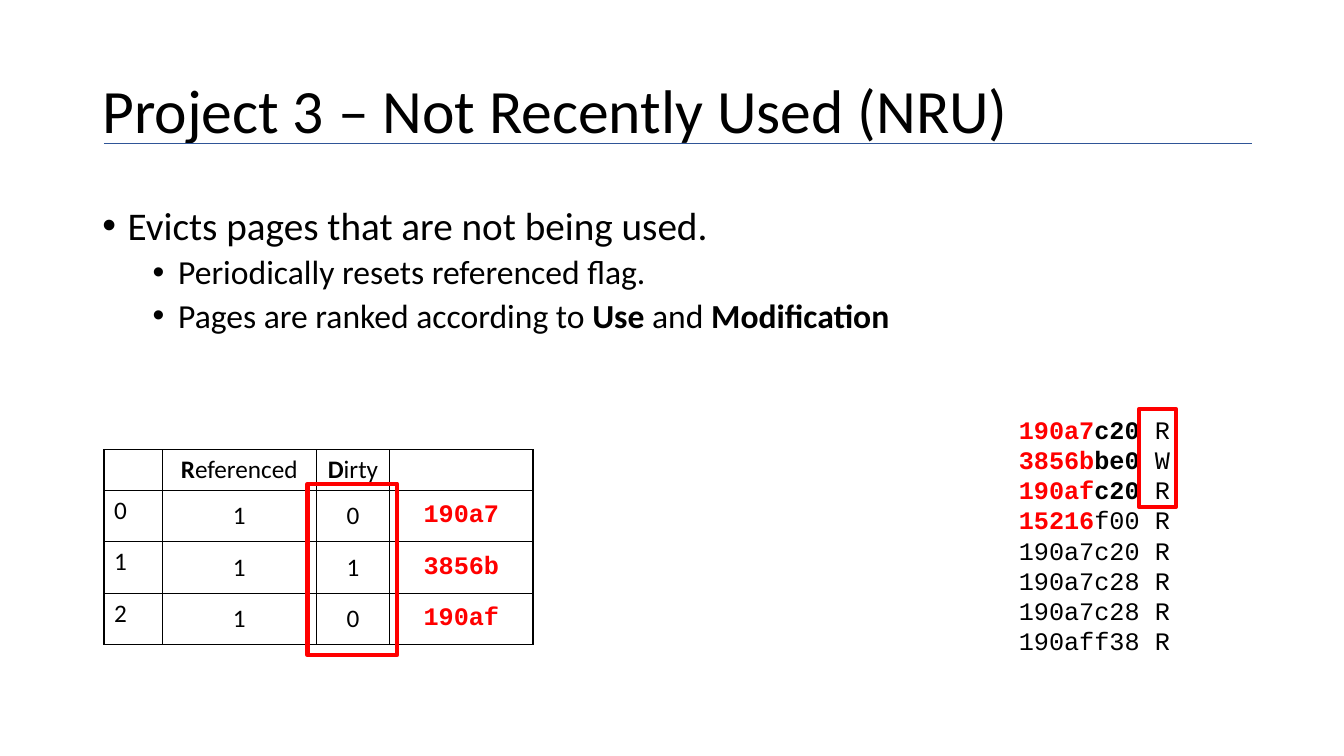
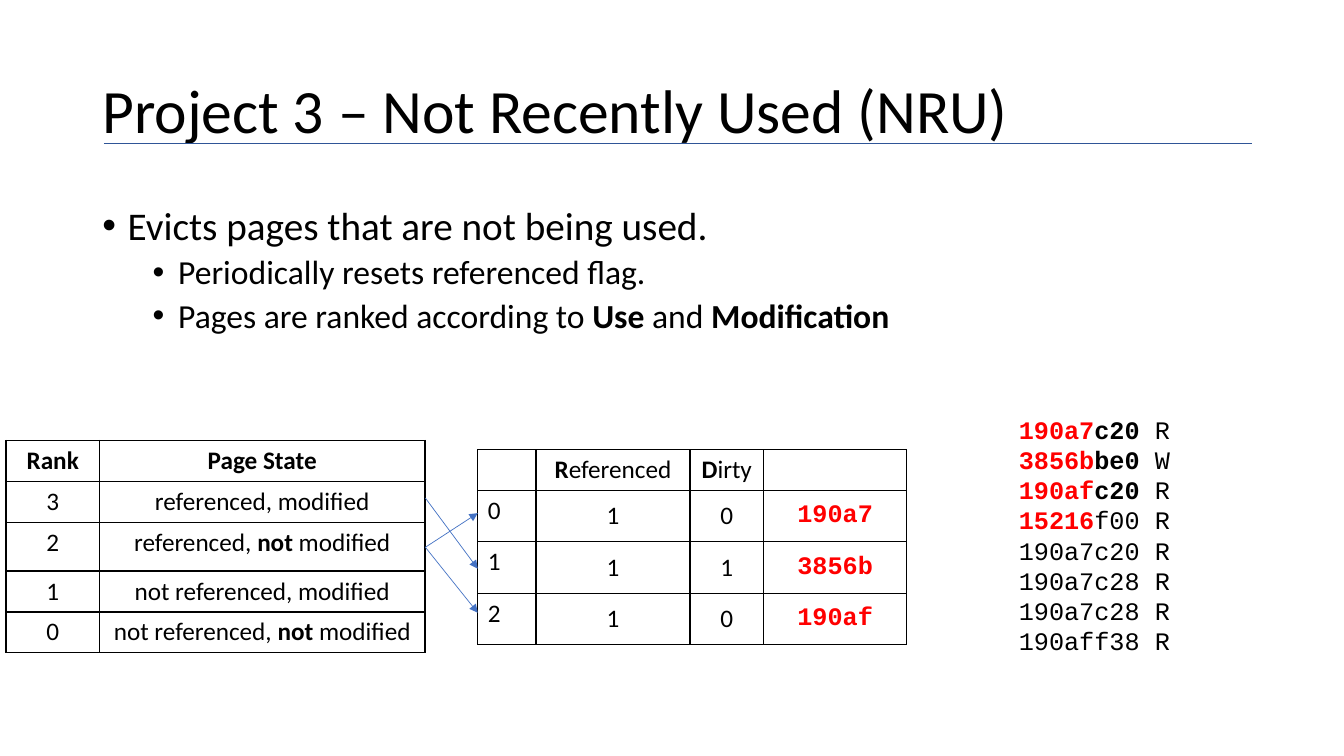
from lxml.etree import SubElement
from pptx import Presentation
from pptx.dml.color import RGBColor
from pptx.enum.shapes import MSO_CONNECTOR as Connector, MSO_SHAPE as Shape
from pptx.enum.text import MSO_ANCHOR as Anchor, PP_ALIGN as Align
from pptx.oxml.ns import qn
from pptx.util import Cm, Pt

BLACK, RED, NAVY, BLUE = "000000", "FF0000", "2F5597", "4472C4"
SANS, MONO = "Calibri", "Courier New"
STRONG = {"bold": True}
PAGE = {"bold": True, "color": RED, "face": MONO}

TITLE = "Project 3 – Not Recently Used (NRU)"
POINTS = [
    (0, "Evicts pages that are not being used."),
    (1, "Periodically resets referenced flag."),
    (1, ["Pages are ranked according to ", ("Use", STRONG), " and ", ("Modification", STRONG)]),
]
TRACE = [
    [("190a7", PAGE), ("c20 ", STRONG), "R"],
    [("3856b", PAGE), ("be0", STRONG), " W"],
    [("190af", PAGE), ("c20", STRONG), " R"],
    [("15216", PAGE), "f00 R"],
    "190a7c20 R",
    "190a7c28 R",
    "190a7c28 R",
    "190aff38 R",
]
FRAMES = [["", [("R", STRONG), "eferenced"], [("D", STRONG), "irty"], ""]] + [
    [str(index), "1", dirty, [(page, PAGE)]]
    for index, (dirty, page) in enumerate([("0", "190a7"), ("1", "3856b"), ("0", "190af")])
]
RANKS = [
    [[("Rank", STRONG)], [("Page State", STRONG)]],
    ["3", "referenced, modified"],
    ["2", ["referenced, ", ("not", STRONG), " modified"]],
    ["1", "not referenced, modified"],
    ["0", ["not referenced, ", ("not", STRONG), " modified"]],
]


def rgb(value):
    return RGBColor.from_string(value)


class Deck:
    def __init__(self):
        self.deck = Presentation()
        self.deck.slide_width, self.deck.slide_height = Cm(33.87), Cm(19.05)

    def start_slide(self):
        self.slide = self.deck.slides.add_slide(self.deck.slide_layouts[6])

    def set_text(self, paragraph, content, size=18, face=SANS, align=Align.LEFT):
        pieces = [content] if isinstance(content, str) else content
        for piece in pieces:
            words, style = (piece, {}) if isinstance(piece, str) else piece
            run = paragraph.add_run()
            run.text = words
            run.font.size = Pt(size)
            run.font.name = style.get("face", face)
            run.font.bold = style.get("bold", False)
            run.font.color.rgb = rgb(style.get("color", BLACK))
        paragraph.alignment = align

    def text_area(self, left, top, width, height, anchor=Anchor.TOP):
        frame = self.slide.shapes.add_textbox(Cm(left), Cm(top), Cm(width), Cm(height)).text_frame
        frame.word_wrap = True
        frame.vertical_anchor = anchor
        return frame

    def paragraphs(self, frame, count):
        return [frame.paragraphs[0]] + [frame.add_paragraph() for _ in range(count - 1)]

    def title(self, words):
        heading = self.text_area(2.33, 1.02, 29.21, 3.68, Anchor.MIDDLE).paragraphs[0]
        self.set_text(heading, words, 44)
        heading.line_spacing = 0.9
        self.line((2.62, 3.61), (31.54, 3.61), NAVY)

    def bullets(self, points):
        frame = self.text_area(2.33, 5.08, 29.21, 4.67)
        for paragraph, (level, content) in zip(self.paragraphs(frame, len(points)), points):
            self.set_text(paragraph, content, 24 if level else 28)
            paragraph.level = level
            paragraph.line_spacing = 0.9
            paragraph.space_before = Pt(5 if level else 10)
            properties = paragraph._p.get_or_add_pPr()
            properties.set("marL", str(Cm(0.64 + 1.27 * level)))
            properties.set("indent", str(-Cm(0.64)))
            SubElement(properties, qn("a:buFont"), typeface="Arial")
            SubElement(properties, qn("a:buChar"), char="•")

    def listing(self, lines):
        frame = self.text_area(22.4, 10.31, 10.36, 6.4)
        for paragraph, content in zip(self.paragraphs(frame, len(lines)), lines):
            self.set_text(paragraph, content, face=MONO, align=Align.CENTER)

    def line(self, start, end, color, arrow=False):
        connector = self.slide.shapes.add_connector(Connector.STRAIGHT, *map(Cm, start + end))
        connector.line.color.rgb = rgb(color)
        connector.line.width = Pt(0.5)
        properties = connector._element.spPr
        if arrow:
            SubElement(properties.find(qn("a:ln")), qn("a:tailEnd"), type="triangle")
        SubElement(properties, qn("a:effectLst"))

    def highlight(self, left, top, width, height):
        box = self.slide.shapes.add_shape(Shape.RECTANGLE, Cm(left), Cm(top), Cm(width), Cm(height))
        box.shadow.inherit = False
        box.fill.background()
        box.line.color.rgb = rgb(RED)
        box.line.width = Pt(3)

    def border(self, cell):
        properties = cell._tc.get_or_add_tcPr()
        for side in ("a:lnL", "a:lnR", "a:lnT", "a:lnB"):
            edge = SubElement(properties, qn(side), w=str(Pt(1)))
            SubElement(SubElement(edge, qn("a:solidFill")), qn("a:srgbClr"), val=BLACK)

    def table(self, left, top, widths, heights, rows, anchor=Anchor.TOP, index_column=False):
        grid = self.slide.shapes.add_table(
            len(heights), len(widths), Cm(left), Cm(top), Cm(sum(widths)), Cm(sum(heights))
        ).table
        grid.first_row = grid.horz_banding = False
        for column, width in zip(grid.columns, widths):
            column.width = Cm(width)
        for row, height in zip(grid.rows, heights):
            row.height = Cm(height)
        for r, row in enumerate(rows):
            for c, content in enumerate(row):
                cell = grid.cell(r, c)
                is_index = index_column and c == 0
                cell.vertical_anchor = Anchor.TOP if is_index else anchor
                self.border(cell)
                cell.fill.background()
                self.set_text(cell.text_frame.paragraphs[0], content,
                              align=Align.LEFT if is_index else Align.CENTER)

    def policy_slide(self, frames_left):
        self.start_slide()
        self.title(TITLE)
        self.bullets(POINTS)
        self.listing(TRACE)
        self.table(frames_left, 11.33, [1.47, 3.88, 1.85, 3.61], [1.02] + [1.3] * 3,
                   FRAMES, Anchor.MIDDLE, index_column=True)


def main():
    deck = Deck()

    deck.policy_slide(2.62)
    deck.highlight(28.7, 10.31, 0.94, 2.46)
    deck.highlight(7.75, 12.19, 2.26, 4.32)

    frames_left = 12.04
    deck.policy_slide(frames_left)
    deck.table(0.15, 11.1, [2.36, 8.2], [1.03, 1.03, 1.23, 1.03, 1.03], RANKS)
    for rank_y, frame_y in [(13.79, 12.93), (13.79, 15.44), (12.55, 14.33)]:
        deck.line((10.72, rank_y), (frames_left, frame_y), BLUE, arrow=True)

    deck.deck.save("out.pptx")


if __name__ == "__main__":
    main()
